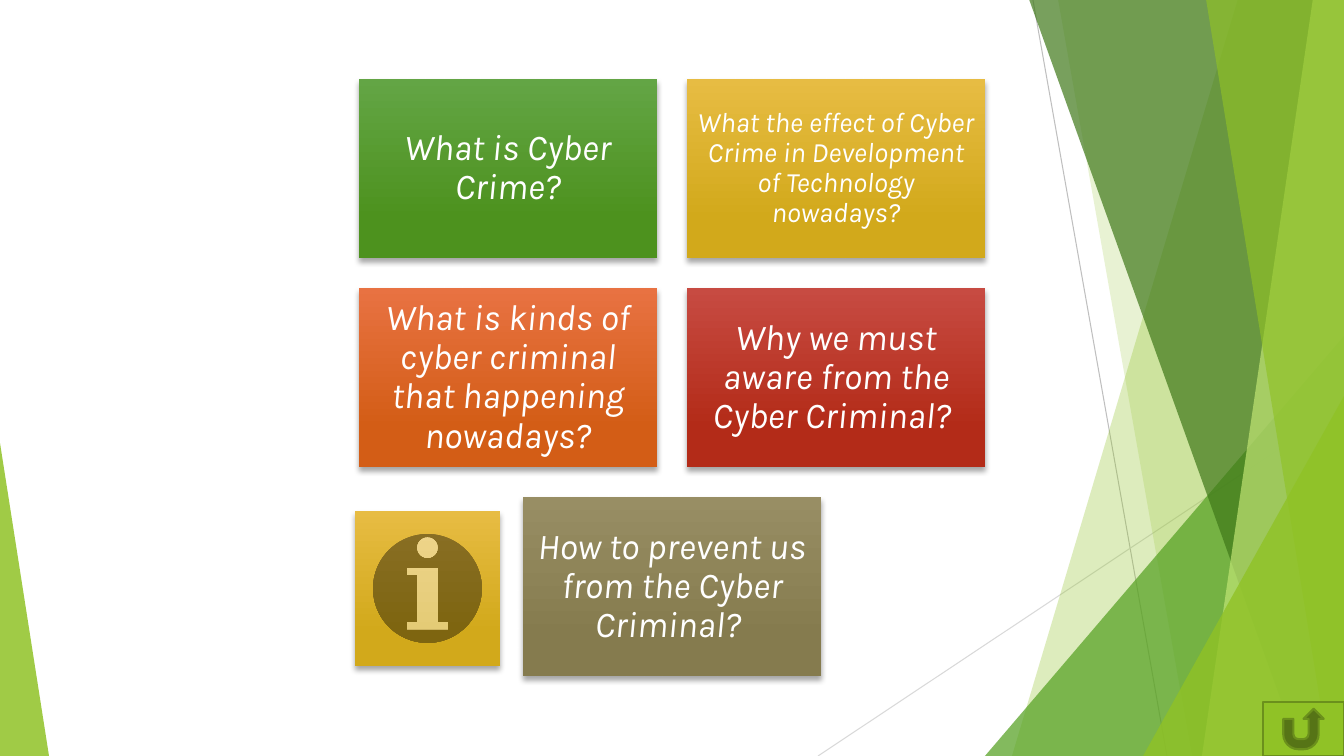
import pptx
import pptx.dml.color
import pptx.enum.shapes
import pptx.enum.text
import pptx.oxml
import pptx.oxml.ns
import pptx.util
from lxml import etree

RGB = pptx.dml.color.RGBColor
SHAPE = pptx.enum.shapes.MSO_SHAPE
EMU_PER_PIXEL = 12192000 / 1344
WIDTH, HEIGHT = 1344, 756

WHITE = RGB(0xFF, 0xFF, 0xFF)
GREY = RGB(0xBF, 0xBF, 0xBF)
PALE_GREY = RGB(0xD9, 0xD9, 0xD9)
LIME = RGB(0x90, 0xC2, 0x26)
PALE_LIME = RGB(0xC0, 0xE4, 0x74)
DARK_LIME = RGB(0x6B, 0x90, 0x1C)
LEAF = RGB(0x54, 0xA0, 0x21)
FOREST = RGB(0x3F, 0x78, 0x19)
GREEN_BLEND = RGB(0x63, 0xA5, 0x45), RGB(0x4D, 0x92, 0x1E)
GOLD_BLEND = RGB(0xE7, 0xBC, 0x43), RGB(0xD2, 0xA9, 0x1B)
ORANGE_BLEND = RGB(0xE8, 0x72, 0x42), RGB(0xD3, 0x5D, 0x16)
RED_BLEND = RGB(0xC7, 0x4B, 0x42), RGB(0xB3, 0x2B, 0x18)
OLIVE_BLEND = RGB(0x98, 0x8E, 0x64), RGB(0x85, 0x7B, 0x4E)

CARD_LEFT, CARD_TOP, CARD_WIDTH, CARD_HEIGHT, CARD_GAP = 359, 79, 298, 179, 30

# Column, row, blend, text size, inset, question
CARDS = [
    (0, 0, GREEN_BLEND, 26, 11, "What is Cyber Crime?"),
    (1, 0, GOLD_BLEND, 20, 8,
     "What the effect of Cyber Crime in Development of Technology nowadays?"),
    (0, 1, ORANGE_BLEND, 26, 11,
     "What is kinds of cyber criminal that happening nowadays?"),
    (1, 1, RED_BLEND, 26, 11, "Why we must aware from the Cyber Criminal? "),
    (0.5, 2, OLIVE_BLEND, 26, 11, "How to prevent us from the Cyber Criminal? "),
]

# Top edge x, bottom edge x, colour, opacity; each band runs to the right edge
LIGHT_BANDS = [(1238, 1012, LIME, 30), (1058, 1192, LIME, 20)]
DARK_BANDS = [(1029, 1301, FOREST, 70), (1313, 1202, PALE_LIME, 70),
              (1206, 1329, LIME, 65)]


def px(length):
    """Turn pixels into EMU."""
    return pptx.util.Emu(round(length * EMU_PER_PIXEL))


def apply_format(target, values):
    """Set every attribute named in a dict of format values."""
    for name, value in values.items():
        setattr(target, name, value)


def fill_solid(shape, colour, opacity=100):
    """Fill a shape with one colour, see-through if asked."""
    shape.fill.solid()
    shape.fill.fore_color.rgb = colour
    if opacity < 100:
        tag = pptx.oxml.ns.qn("a:srgbClr")
        for node in shape.fill._xPr.iter(tag):
            etree.SubElement(node, pptx.oxml.ns.qn("a:alpha"),
                             val=str(opacity * 1000))


def fill_blend(shape, blend):
    """Fill a shape with a downward gradient and a soft shadow."""
    shape.fill.gradient()
    shape.fill.gradient_angle = 270
    for stop, position, colour in zip(shape.fill.gradient_stops, (0, 0.78), blend):
        stop.position = position
        stop.color.rgb = colour
    effects = shape._element.spPr.find(pptx.oxml.ns.qn("a:effectLst"))
    effects.append(pptx.oxml.parse_xml(
        f'<a:outerShdw {pptx.oxml.ns.nsdecls("a")} blurRad="50800" dist="38100" '
        'dir="5400000" rotWithShape="0"><a:srgbClr val="000000">'
        '<a:alpha val="35000"/></a:srgbClr></a:outerShdw>'))


def add_preset(page, kind, left, top, width, height):
    """Add a preset shape with no outline and no shadow."""
    shape = page.shapes.add_shape(kind, px(left), px(top), px(width), px(height))
    shape.shadow.inherit = False
    shape.line.fill.background()
    return shape


def add_ray(page, start, end, colour):
    """Add a thin straight line."""
    ray = page.shapes.add_connector(
        pptx.enum.shapes.MSO_CONNECTOR.STRAIGHT, *map(px, start + end))
    ray.line.color.rgb = colour
    ray.line.width = pptx.util.Pt(0.75)
    etree.SubElement(ray._element.spPr, pptx.oxml.ns.qn("a:effectLst"))


def add_band(page, top_x, bottom_x, colour, opacity):
    """Add a see-through band between a slanted edge and the right edge."""
    builder = page.shapes.build_freeform(px(top_x), px(-1))
    corners = [(WIDTH, -1), (WIDTH, HEIGHT), (bottom_x, HEIGHT)]
    builder.add_line_segments([(px(x), px(y)) for x, y in corners])
    band = builder.convert_to_shape()
    band.shadow.inherit = False
    band.line.fill.background()
    fill_solid(band, colour, opacity)


def add_corner(page, left, top, width, apex, colour, opacity):
    """Add a triangle that stands on the bottom edge."""
    corner = add_preset(page, SHAPE.ISOSCELES_TRIANGLE, left, top, width, HEIGHT - top)
    corner.adjustments[0] = apex
    fill_solid(corner, colour, opacity)


def add_card(page, column, row, blend, size, inset, question):
    """Add a question card at its place in the grid."""
    card = add_preset(page, SHAPE.RECTANGLE,
                      CARD_LEFT + column * (CARD_WIDTH + CARD_GAP),
                      CARD_TOP + row * (CARD_HEIGHT + CARD_GAP),
                      CARD_WIDTH, CARD_HEIGHT)
    fill_blend(card, blend)
    frame = card.text_frame
    margins = ("margin_left", "margin_top", "margin_right", "margin_bottom")
    apply_format(frame, dict.fromkeys(margins, px(inset)))
    apply_format(frame, {"word_wrap": True,
                         "vertical_anchor": pptx.enum.text.MSO_ANCHOR.MIDDLE})
    para = frame.paragraphs[0]
    apply_format(para, {"alignment": pptx.enum.text.PP_ALIGN.CENTER,
                        "line_spacing": 0.9})
    span = para.add_run()
    span.text = question
    apply_format(span.font, {"name": "Karla", "size": pptx.util.Pt(size),
                             "italic": True})
    span.font.color.rgb = WHITE


def add_backdrop(page):
    """Add the green facets and thin rays behind the cards."""
    add_ray(page, (1033, 0), (1167, HEIGHT), GREY)
    add_ray(page, (WIDTH, 406), (818, HEIGHT), PALE_GREY)
    for band in LIGHT_BANDS:
        add_band(page, *band)
    add_corner(page, 985, 336, 359, 1, LEAF, 72)
    for band in DARK_BANDS:
        add_band(page, *band)
    add_corner(page, 1143, 396, 201, 1, LIME, 80)
    add_corner(page, 0, 443, 49, 0, LIME, 85)


def add_buttons(page):
    """Add the return and information buttons."""
    back = add_preset(page, SHAPE.ACTION_BUTTON_RETURN, 1263, 702, 81, 54)
    fill_solid(back, LIME)
    back.line.color.rgb = DARK_LIME
    back.line.width = pptx.util.Pt(1.5)
    info = add_preset(page, SHAPE.ACTION_BUTTON_INFORMATION, 355, 511, 145, 155)
    fill_blend(info, GOLD_BLEND)


def main():
    """Build the slide and save it."""
    deck = pptx.Presentation()
    apply_format(deck, {"slide_width": px(WIDTH), "slide_height": px(HEIGHT)})
    page = deck.slides.add_slide(deck.slide_layouts[6])
    add_backdrop(page)
    for card in CARDS:
        add_card(page, *card)
    add_buttons(page)
    deck.save("out.pptx")


main()
